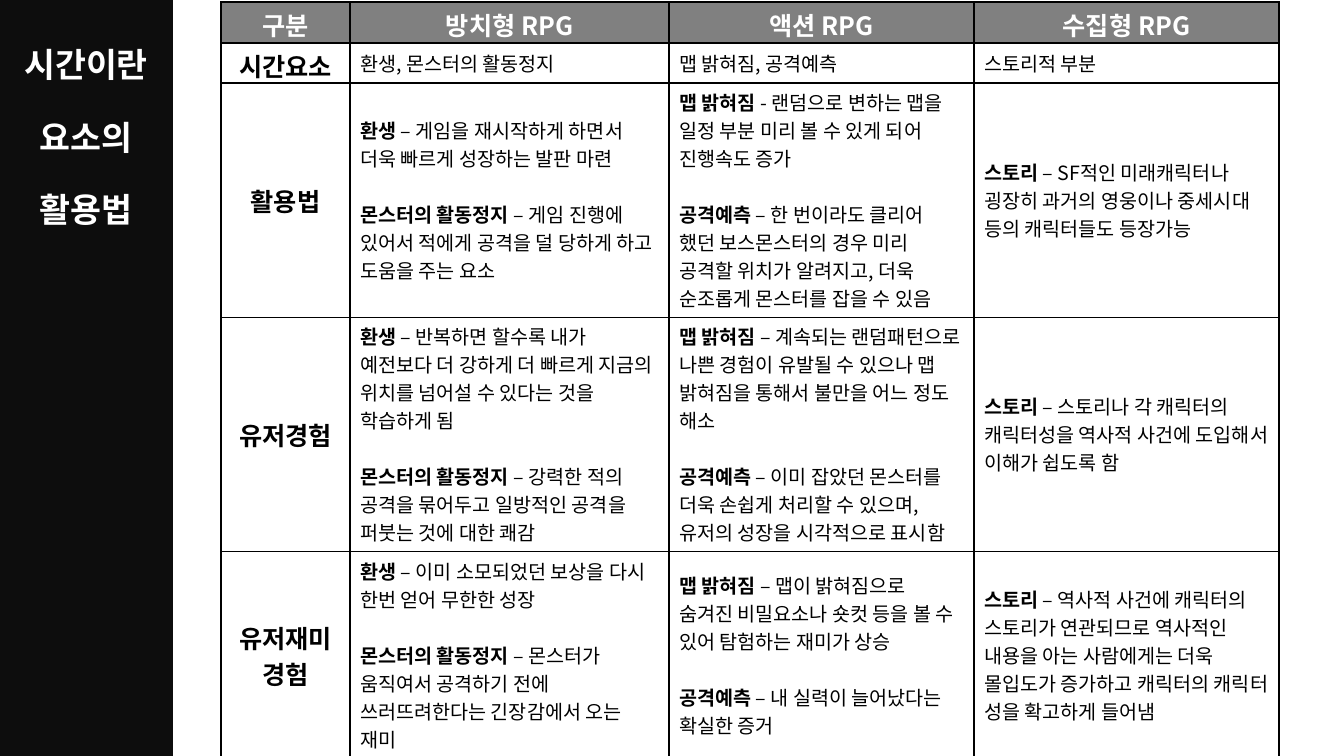
from lxml.etree import SubElement
from pptx import Presentation
from pptx.dml.color import RGBColor
from pptx.enum.shapes import MSO_SHAPE as Shape
from pptx.enum.text import MSO_ANCHOR as Anchor, PP_ALIGN as Align
from pptx.oxml import parse_xml
from pptx.oxml.ns import nsdecls, qn
from pptx.util import Pt

FONT = "Noto Sans CJK KR"
PX = 914400 / 100.8


def px(length):
    return round(length * PX)


def write(para, spans, size, color, align):
    for text, bold in spans:
        span = para.add_run()
        span.text = text
        span.font.bold = bold
    para.alignment = align
    para.font.size = Pt(size)
    para.font.name = FONT
    para.font.color.rgb = RGBColor.from_string(color)
    defaults = para._p.pPr.find(qn("a:defRPr"))
    SubElement(defaults, qn("a:ea")).set("typeface", FONT)


deck = Presentation()
deck.slide_width = px(1344)
deck.slide_height = px(756)
page = deck.slides.add_slide(deck.slide_layouts[6])

sidebar = page.shapes.add_shape(Shape.RECTANGLE, 0, 0, px(173), px(756))
sidebar.shadow.inherit = False
sidebar.fill.solid()
sidebar.fill.fore_color.rgb = RGBColor.from_string("0D0D0D")
sidebar.line.fill.background()

title = page.shapes.add_textbox(px(8), px(39), px(156), px(214)).text_frame
title.word_wrap = False
for index, line in enumerate(["시간이란", "요소의", "활용법"]):
    para = title.add_paragraph() if index else title.paragraphs[0]
    if index:
        para.space_before = Pt(23)
    write(para, [(line, True)], 24, "FFFFFF", Align.CENTER)

headings = ["구분", "방치형 RPG", "액션 RPG", "수집형 RPG"]
rows = [
    ("시간요소", [
        [("", "환생, 몬스터의 활동정지")],
        [("", "맵 밝혀짐, 공격예측")],
        [("", "스토리적 부분")],
    ]),
    ("활용법", [
        [("환생 ", "– 게임을 재시작하게 하면서 더욱 빠르게 성장하는 발판 마련"),
         ("몬스터의 활동정지 ", "– 게임 진행에 있어서 적에게 공격을 덜 당하게 하고 도움을 주는 요소")],
        [("맵 밝혀짐 ", "- 랜덤으로 변하는 맵을 일정 부분 미리 볼 수 있게 되어 진행속도 증가"),
         ("공격예측 ", "– 한 번이라도 클리어 했던 보스몬스터의 경우 미리 공격할 위치가 알려지고, "
                   "더욱 순조롭게 몬스터를 잡을 수 있음")],
        [("스토리 ", "– SF적인 미래캐릭터나 굉장히 과거의 영웅이나 중세시대 등의 캐릭터들도 등장가능")],
    ]),
    ("유저경험", [
        [("환생 ", "– 반복하면 할수록 내가 예전보다 더 강하게 더 빠르게 지금의 위치를 "
                 "넘어설 수 있다는 것을 학습하게 됨"),
         ("몬스터의 활동정지 ", "– 강력한 적의 공격을 묶어두고 일방적인 공격을 퍼붓는 것에 대한 쾌감")],
        [("맵 밝혀짐 ", "– 계속되는 랜덤패턴으로 나쁜 경험이 유발될 수 있으나 맵 밝혀짐을 통해서 "
                    "불만을 어느 정도 해소"),
         ("공격예측 ", "– 이미 잡았던 몬스터를 더욱 손쉽게 처리할 수 있으며, "
                   "유저의 성장을 시각적으로 표시함")],
        [("스토리 ", "– 스토리나 각 캐릭터의 캐릭터성을 역사적 사건에 도입해서 이해가 쉽도록 함")],
    ]),
    ("유저재미경험", [
        [("환생 ", "– 이미 소모되었던 보상을 다시 한번 얻어 무한한 성장"),
         ("몬스터의 활동정지 ", "– 몬스터가 움직여서 공격하기 전에 쓰러뜨려한다는 긴장감에서 오는 재미")],
        [("맵 밝혀짐 ", "– 맵이 밝혀짐으로 숨겨진 비밀요소나 숏컷 등을 볼 수 있어 탐험하는 재미가 상승"),
         ("공격예측 ", "– 내 실력이 늘어났다는 확실한 증거")],
        [("스토리 ", "– 역사적 사건에 캐릭터의 스토리가 연관되므로 역사적인 내용을 아는 사람에게는 "
                  "더욱 몰입도가 증가하고 캐릭터의 캐릭터 성을 확고하게 들어냄")],
    ]),
]
widths = [129, 319, 305, 305]
heights = [41, 40, 234, 234, 208]

frame = page.shapes.add_table(len(heights), len(widths), px(221), px(2),
                              px(sum(widths)), px(sum(heights)))
table = frame.table
table.first_row = False
table.horz_banding = False
for column, width in zip(table.columns, widths):
    column.width = px(width)
for row, height in zip(table.rows, heights):
    row.height = px(height)

for cell in table.iter_cells():
    cell.vertical_anchor = Anchor.MIDDLE
    for side in ("lnL", "lnR", "lnT", "lnB"):
        cell._tc.tcPr.append(parse_xml(
            f'<a:{side} {nsdecls("a")} w="12700"><a:solidFill>'
            f'<a:srgbClr val="000000"/></a:solidFill></a:{side}>'))
    cell.fill.background()

for column, heading in enumerate(headings):
    cell = table.cell(0, column)
    cell.fill.solid()
    cell.fill.fore_color.rgb = RGBColor.from_string("808080")
    write(cell.text_frame.paragraphs[0], [(heading, True)], 18, "FFFFFF", Align.CENTER)

for number, (label, entries) in enumerate(rows, 1):
    label_para = table.cell(number, 0).text_frame.paragraphs[0]
    write(label_para, [(label, True)], 18, "000000", Align.CENTER)
    for column, points in enumerate(entries, 1):
        body = table.cell(number, column).text_frame
        for index, (term, detail) in enumerate(points):
            para = body.add_paragraph() if index else body.paragraphs[0]
            para.line_spacing = Pt(20)
            if index:
                para.space_before = Pt(20)
            spans = [(term, True), (detail, False)] if term else [(detail, False)]
            write(para, spans, 14, "000000", Align.LEFT)

for cell in [*(table.cell(0, column) for column in range(len(widths))), table.cell(1, 0)]:
    cell.margin_top = px(4)
    cell.margin_bottom = 0

deck.save("out.pptx")
